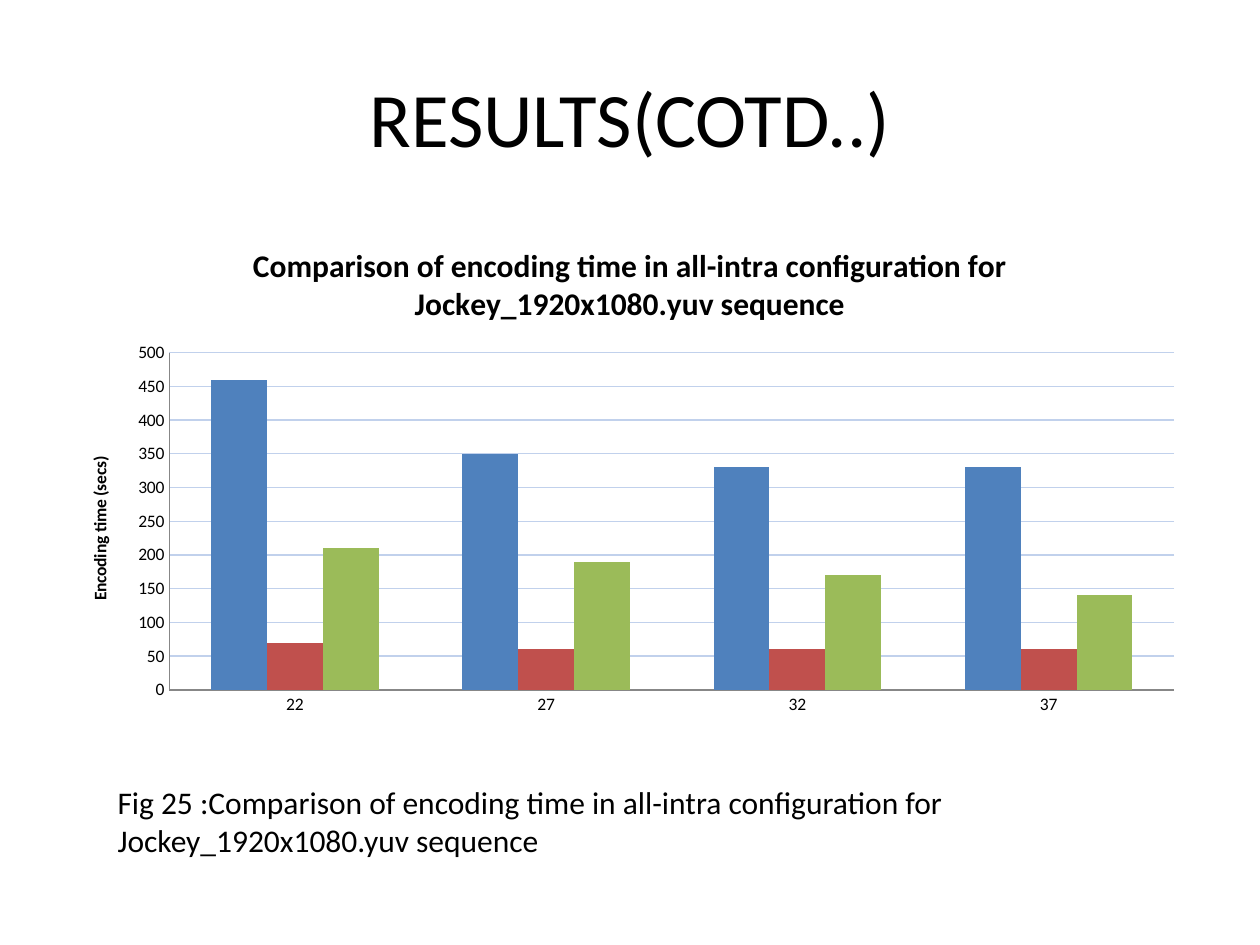
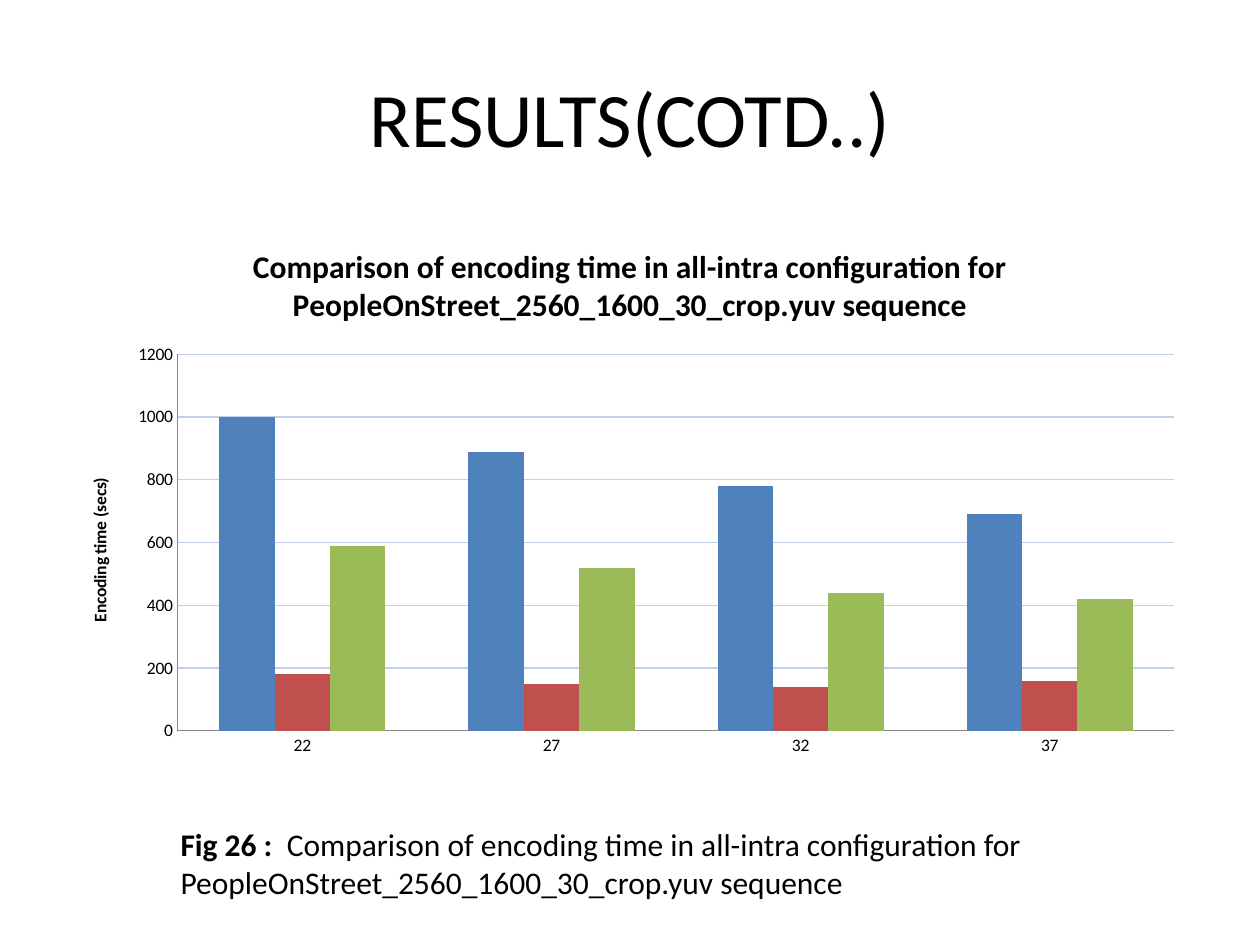
from pptx import Presentation
from pptx.chart.data import CategoryChartData
from pptx.dml.color import RGBColor
from pptx.enum.chart import XL_CHART_TYPE, XL_TICK_MARK
from pptx.enum.text import MSO_ANCHOR, MSO_AUTO_SIZE, PP_ALIGN
from pptx.util import Cm, Pt

# Shared look
COLORS = {"text": "000000", "background": "FFFFFF", "axis": "878787", "grid": "C1D1EC"}
SERIES_COLORS = ["4F81BD", "C0504D", "9BBB59"]
FORMATS = {
    "title": {"name": "Calibri", "size": Pt(44), "bold": False},
    "chart": {"name": "Arial", "size": Pt(10)},
    "chart title": {"name": "Calibri", "size": Pt(18), "bold": True},
    "axis": {"name": "Calibri", "size": Pt(10), "bold": False},
    "axis title": {"name": "Calibri", "size": Pt(10), "bold": True},
    "caption": {"name": "Calibri", "size": Pt(18), "bold": False},
    "caption label": {"name": "Calibri", "size": Pt(18), "bold": True},
}

# Content: one entry per slide
TOPIC = "Comparison of encoding time in all-intra configuration for"
QP_VALUES = ["22", "27", "32", "37"]
RESULTS = [
    {
        "sequence": "Jockey_1920x1080.yuv sequence",
        "times": [[460, 350, 330, 330], [70, 60, 60, 60], [210, 190, 170, 140]],
        "scale": (500, 50),
        "chart_height": 10.16,
        "caption_box": (2.12, 15.67, 19.9, 2.54),
        "label": ("Fig 25 :", "caption"),
    },
    {
        "sequence": "PeopleOnStreet_2560_1600_30_crop.yuv sequence",
        "times": [[1000, 890, 780, 690], [180, 150, 140, 160], [590, 520, 440, 420]],
        "scale": (1200, 200),
        "chart_height": 11,
        "caption_box": (3.39, 16.51, 20.95, 2.54),
        "label": ("Fig 26 :  ", "caption label"),
    },
]


def rgb(name):
    return RGBColor.from_string(COLORS[name])


def set_font(font, style):
    for key, value in FORMATS[style].items():
        setattr(font, key, value)
    font.color.rgb = rgb("text")


def add_run(p, text, style):
    r = p.add_run()
    r.text = text
    set_font(r.font, style)


def set_line(line, color):
    line.color.rgb = rgb(color)
    line.width = Pt(0.75)


def add_title(s, text):
    sp = s.shapes.title
    sp.left, sp.top, sp.width, sp.height = Cm(1.27), Cm(0.76), Cm(22.86), Cm(3.18)
    tf = sp.text_frame
    tf.vertical_anchor = MSO_ANCHOR.MIDDLE
    p = tf.paragraphs[0]
    p.alignment = PP_ALIGN.CENTER
    add_run(p, text, "title")


def format_axis(axis):
    axis.major_tick_mark = axis.minor_tick_mark = XL_TICK_MARK.NONE
    set_font(axis.tick_labels.font, "axis")
    set_line(axis.format.line, "axis")


def add_time_chart(s, result):
    data = CategoryChartData()
    data.categories = QP_VALUES
    for number, times in enumerate(result["times"], 1):
        data.add_series(f"Series {number}", times)
    chart = s.shapes.add_chart(
        XL_CHART_TYPE.COLUMN_CLUSTERED, Cm(1.27), Cm(4.45),
        Cm(22.86), Cm(result["chart_height"]), data).chart
    set_font(chart.font, "chart")
    chart.has_legend = False
    chart.has_title = True
    add_run(chart.chart_title.text_frame.paragraphs[0],
            f"{TOPIC} {result['sequence']}", "chart title")

    # Axes
    format_axis(chart.category_axis)
    axis = chart.value_axis
    format_axis(axis)
    axis.minimum_scale = 0
    axis.maximum_scale, axis.major_unit = result["scale"]
    axis.has_major_gridlines = True
    set_line(axis.major_gridlines.format.line, "grid")
    add_run(axis.axis_title.text_frame.paragraphs[0], "Encoding time (secs)", "axis title")

    # Columns
    plot = chart.plots[0]
    plot.gap_width = 150
    plot.overlap = 0
    plot.vary_by_categories = False
    for series, color in zip(plot.series, SERIES_COLORS):
        series.format.fill.solid()
        series.format.fill.fore_color.rgb = RGBColor.from_string(color)


def add_caption(s, result):
    tf = s.shapes.add_textbox(*map(Cm, result["caption_box"])).text_frame
    tf.word_wrap = True
    tf.auto_size = MSO_AUTO_SIZE.SHAPE_TO_FIT_TEXT
    p = tf.paragraphs[0]
    add_run(p, *result["label"])
    add_run(p, f"{TOPIC} {result['sequence']}", "caption")


def main():
    prs = Presentation()
    prs.slide_width, prs.slide_height = Cm(25.4), Cm(19.05)
    for result in RESULTS:
        s = prs.slides.add_slide(prs.slide_layouts[5])
        s.background.fill.solid()
        s.background.fill.fore_color.rgb = rgb("background")
        add_title(s, "RESULTS(COTD..)")
        add_time_chart(s, result)
        add_caption(s, result)
    prs.save("out.pptx")


if __name__ == "__main__":
    main()
